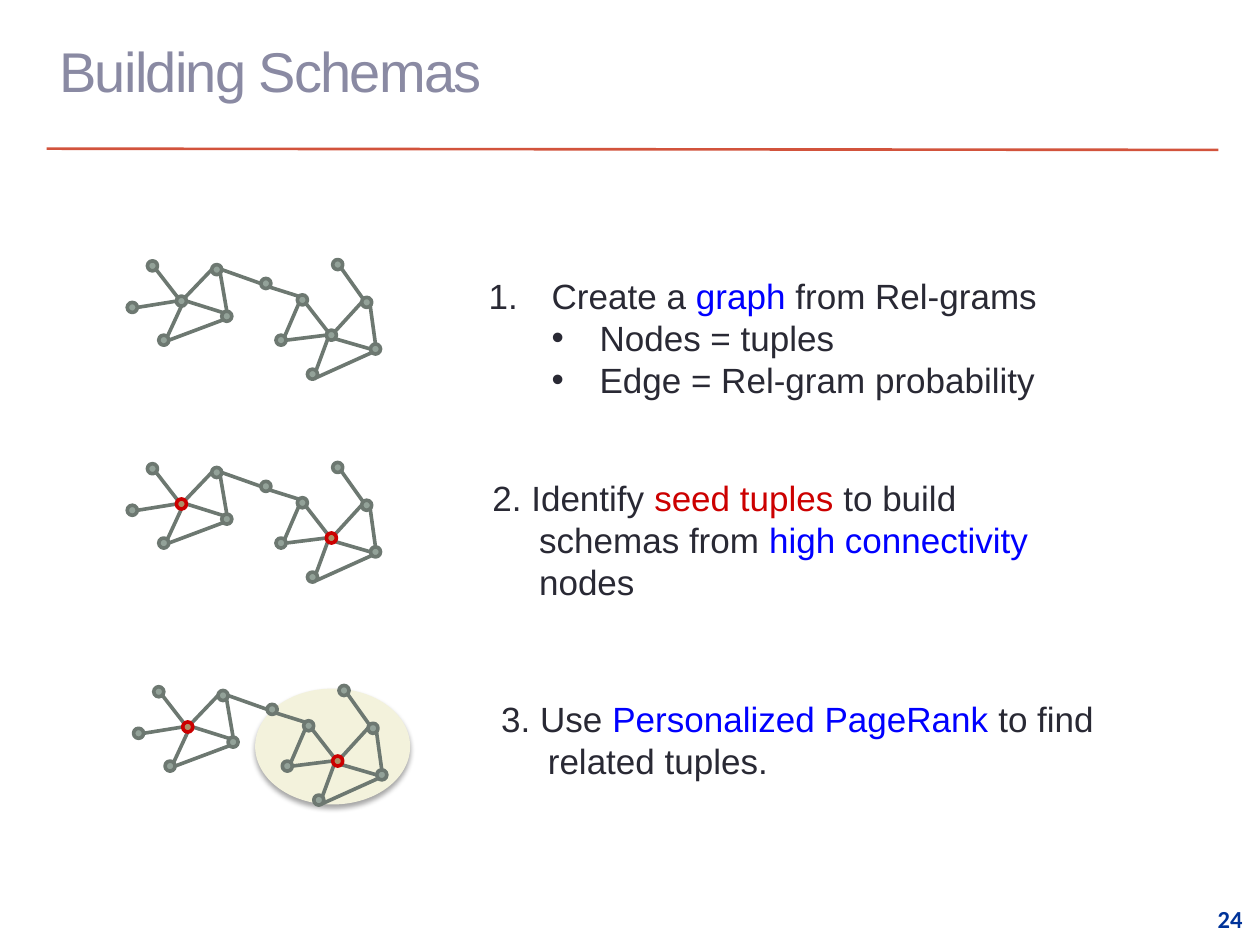
"""Build the slide on building schemas from a graph of Rel-grams."""
from math import sqrt

from lxml import etree
from pptx import Presentation
from pptx.dml.color import RGBColor
from pptx.enum import shapes, text
from pptx.oxml import ns
from pptx.util import Inches, Pt

INK = RGBColor(0x29, 0x29, 0x34)
BLUE = RGBColor(0x00, 0x00, 0xFF)
RED = RGBColor(0xCC, 0x00, 0x00)
TITLE_GREY = RGBColor(0x8A, 0x8A, 0xA3)
RULE_RED = RGBColor(0xD2, 0x53, 0x3C)
NUMBER_BLUE = RGBColor(0x00, 0x33, 0x99)
NODE_FILL = RGBColor(0x93, 0xA2, 0x99)
NODE_LINE = RGBColor(0x6D, 0x78, 0x71)
SEED_FILL = RGBColor(0xAD, 0x8F, 0x67)
CLUSTER_FILL = RGBColor(0xF3, 0xF2, 0xDC)

RADIUS = 0.04
GRAPH_LINE = 2.08
NODES = {
    "a": (1.21, 2.11), "b": (1.05, 2.44), "seed1": (1.44, 2.39),
    "c": (1.72, 2.14), "d": (1.8, 2.51), "e": (2.11, 2.25),
    "f": (1.3, 2.7), "g": (2.68, 2.1), "h": (2.4, 2.38),
    "i": (2.23, 2.7), "seed2": (2.63, 2.66), "j": (2.91, 2.4),
    "k": (2.98, 2.77), "l": (2.48, 2.97),
}
SEEDS = ("seed1", "seed2")
EDGES = [
    ("seed1", "nw", "a", "se"), ("b", "e", "seed1", "w"),
    ("f", "ne", "seed1", "s"), ("seed1", "ne", "c", "w"),
    ("seed1", "e", "d", "nw"), ("c", "e", "e", "w"),
    ("i", "ne", "h", "sw"), ("i", "e", "seed2", "w"),
    ("l", "ne", "seed2", "sw"), ("seed2", "ne", "j", "w"),
    ("e", "se", "h", "nw"), ("f", "e", "d", "sw"),
    ("c", "se", "d", "n"), ("h", "se", "seed2", "nw"),
    ("seed2", "se", "k", "w"), ("l", "se", "k", "sw"),
    ("g", "se", "j", "nw"), ("j", "se", "k", "n"),
]


def add_line(container, start, end, color, width):
    """Draw a straight line without a shadow."""
    line = container.add_connector(
        shapes.MSO_CONNECTOR.STRAIGHT, *map(Inches, (*start, *end)))
    line.line.color.rgb = color
    line.line.width = Pt(width)
    etree.SubElement(line._element.spPr, ns.qn("a:effectLst"))


def add_ellipse(container, box, fill, line_color, line_width):
    """Draw a filled ellipse without a shadow and return it."""
    shape = container.add_shape(shapes.MSO_SHAPE.OVAL, *map(Inches, box))
    shape.shadow.inherit = False
    shape.fill.solid()
    shape.fill.fore_color.rgb = fill
    shape.line.color.rgb = line_color
    shape.line.width = Pt(line_width)
    return shape


def add_cluster(container, box):
    """Draw the pale ellipse with a soft shadow below it."""
    shape = add_ellipse(container, box, CLUSTER_FILL, CLUSTER_FILL, 0.75)
    effects = shape._element.spPr.find(ns.qn("a:effectLst"))
    shadow = etree.SubElement(
        effects, ns.qn("a:outerShdw"), blurRad=str(Pt(3.1)),
        dist=str(Pt(1.8)), dir="5400000", rotWithShape="0")
    color = etree.SubElement(shadow, ns.qn("a:srgbClr"), val="000000")
    etree.SubElement(color, ns.qn("a:alpha"), val="35000")


def rim_point(center, direction):
    """Return the point of a node's rim in a compass direction."""
    step_x = ("e" in direction) - ("w" in direction)
    step_y = ("s" in direction) - ("n" in direction)
    reach = RADIUS / sqrt(step_x ** 2 + step_y ** 2)
    return center[0] + step_x * reach, center[1] + step_y * reach


def add_graph(slide, shift_x, shift_y, seeds=(), cluster=None):
    """Draw the graph as one group, with its seeds and cluster marked."""
    group = slide.shapes.add_group_shape().shapes
    if cluster:
        add_cluster(group, cluster)
    centers = {name: (x + shift_x, y + shift_y)
               for name, (x, y) in NODES.items()}
    for first, leave, second, arrive in EDGES:
        add_line(group, rim_point(centers[first], leave),
                 rim_point(centers[second], arrive), NODE_LINE, GRAPH_LINE)
    for name, (x, y) in centers.items():
        colors = (SEED_FILL, RED) if name in seeds else (NODE_FILL, NODE_LINE)
        box = (x - RADIUS, y - RADIUS, 2 * RADIUS, 2 * RADIUS)
        add_ellipse(group, box, *colors, GRAPH_LINE)


def add_run(paragraph, words, color, size, font="Arial", bold=False):
    """Add one formatted run and return it."""
    run = paragraph.add_run()
    run.text = words
    run.font.name = font
    run.font.size = Pt(size)
    run.font.bold = bold
    run.font.color.rgb = color
    return run


def set_indent(paragraph, margin, hanging, bullet=None):
    """Give a paragraph a hanging indent and an optional bullet element."""
    properties = paragraph._p.get_or_add_pPr()
    properties.set("marL", str(Inches(margin)))
    properties.set("indent", str(Inches(-hanging)))
    if bullet:
        tag, attributes = bullet
        if tag == "a:buChar":
            etree.SubElement(properties, ns.qn("a:buFont"), typeface="Arial")
        etree.SubElement(properties, ns.qn(tag), **attributes)


def add_text_box(slide, box):
    """Add a wrapping text box and return its frame."""
    frame = slide.shapes.add_textbox(*map(Inches, box)).text_frame
    frame.word_wrap = True
    return frame


def add_step(slide, box, paragraphs):
    """Write one step from (margin, hanging, bullet, level, runs) rows."""
    frame = add_text_box(slide, box)
    frame.auto_size = text.MSO_AUTO_SIZE.SHAPE_TO_FIT_TEXT
    for index, (margin, hanging, bullet, level, runs) in enumerate(paragraphs):
        paragraph = frame.add_paragraph() if index else frame.paragraphs[0]
        paragraph.level = level
        set_indent(paragraph, margin, hanging, bullet)
        for words, color in runs:
            add_run(paragraph, words, color, 20)


def add_title(slide, words):
    """Place and format the title placeholder."""
    title = slide.shapes.title
    title.left, title.top, title.width, title.height = map(
        Inches, (0.37, 0.02, 9.3, 1.08))
    title.text_frame.vertical_anchor = text.MSO_ANCHOR.MIDDLE
    paragraph = title.text_frame.paragraphs[0]
    paragraph.alignment = text.PP_ALIGN.LEFT
    run = add_run(paragraph, words, TITLE_GREY, 32)
    run.font._element.set("spc", "-100")


def add_slide_number(slide, number):
    """Write the slide number in the bottom right corner."""
    frame = add_text_box(slide, (9.37, 7.11, 0.59, 0.36))
    frame.vertical_anchor = text.MSO_ANCHOR.MIDDLE
    paragraph = frame.paragraphs[0]
    paragraph.alignment = text.PP_ALIGN.RIGHT
    add_run(paragraph, number, NUMBER_BLUE, 14, "Calibri", True)


def main():
    """Build and save the slide."""
    presentation = Presentation()
    presentation.slide_width = Inches(10)
    presentation.slide_height = Inches(7.5)
    slide = presentation.slides.add_slide(presentation.slide_layouts[5])
    add_title(slide, "Building Schemas")
    add_line(slide.shapes, (0.37, 1.18), (9.67, 1.19), RULE_RED, 1.5)
    add_slide_number(slide, "24")

    add_graph(slide, 0, 0)
    add_graph(slide, 0, 1.61, SEEDS)
    add_graph(slide, 0.05, 3.38, SEEDS, (2.03, 5.47, 1.22, 0.91))

    number = ("a:buAutoNum", {"type": "arabicPeriod"})
    dot = ("a:buChar", {"char": "•"})
    add_step(slide, (3.78, 2.13, 5.11, 1.11), [
        (0.5, 0.5, number, 0, [("Create a ", INK), ("graph ", BLUE),
                               ("from Rel-grams", INK)]),
        (0.88, 0.38, dot, 1, [("Nodes = tuples", INK)]),
        (0.88, 0.38, dot, 1, [("Edge = Rel-gram probability", INK)]),
    ])
    add_step(slide, (3.81, 3.73, 5.05, 1.11), [
        (0.37, 0.37, None, 0, [
            ("2. Identify ", INK), ("seed tuples ", RED),
            ("to build schemas from ", INK), ("high connectivity ", BLUE),
            ("nodes", INK)]),
    ])
    add_step(slide, (3.88, 5.49, 5.36, 0.77), [
        (0.37, 0.37, None, 0, [
            ("3. Use ", INK), ("Personalized PageRank ", BLUE),
            ("to find related tuples.", INK)]),
    ])
    presentation.save("out.pptx")


if __name__ == "__main__":
    main()
